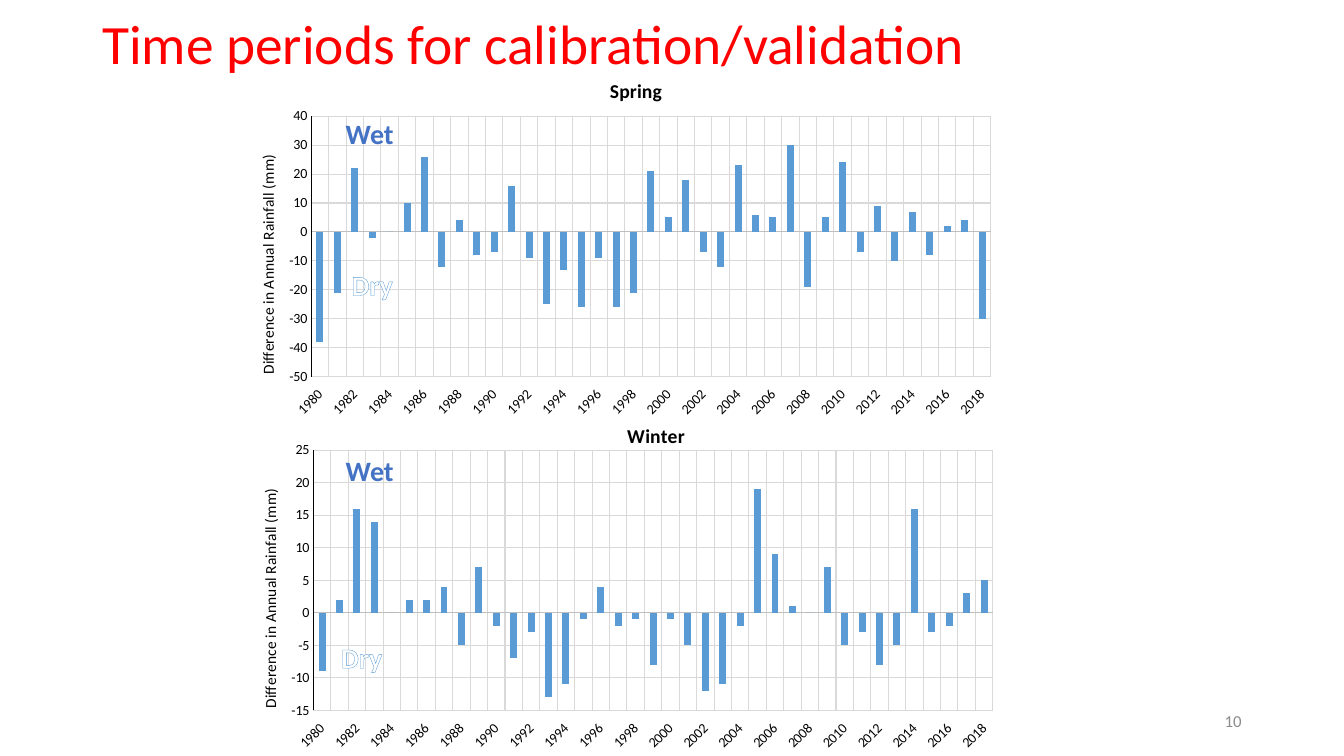
from dataclasses import dataclass

from lxml import etree
from pptx import Presentation
from pptx import util as u
from pptx.chart.data import CategoryChartData
from pptx.dml.color import RGBColor
from pptx.enum import chart as ch
from pptx.enum import text
from pptx.oxml.ns import qn

PX = 9525  # EMU per px, 96 px to the inch
FONT = "Calibri"
RED = RGBColor(0xFF, 0x00, 0x00)
BLACK = RGBColor(0x00, 0x00, 0x00)
WHITE = RGBColor(0xFF, 0xFF, 0xFF)
GRAY = RGBColor(0x8C, 0x8C, 0x8C)
AXIS_GRAY = RGBColor(0xBF, 0xBF, 0xBF)
GRID_GRAY = RGBColor(0xD9, 0xD9, 0xD9)
BAR_BLUE = RGBColor(0x5B, 0x9B, 0xD5)
WET_BLUE = RGBColor(0x44, 0x72, 0xC4)

YEARS = [str(year) for year in range(1980, 2019)]
AXIS_TITLE = "Difference in Annual Rainfall (mm)"


@dataclass
class Label:
    words: str
    box: tuple[int, int, int, int]
    size: float
    color: RGBColor
    align: text.PP_ALIGN = text.PP_ALIGN.CENTER
    anchor: text.MSO_ANCHOR = text.MSO_ANCHOR.TOP
    bold: bool = True
    wrap: bool = True
    spacing: float = 1.0
    outline: RGBColor | None = None


@dataclass
class Season:
    name: str
    left: int
    top: int
    title_at: tuple[float, float]
    scale: tuple[int, int, int]
    values: list[int]


SEASONS = [
    Season("Spring", 228, 60, (0.48, 0.03), (-50, 40, 10), [
        -38, -21, 22, -2, 0, 10, 26, -12, 4, -8, -7, 16, -9, -25, -13, -26, -9, -26, -21, 21,
        5, 18, -7, -12, 23, 6, 5, 30, -19, 5, 24, -7, 9, -10, 7, -8, 2, 4, -30]),
    Season("Winter", 230, 378, (0.5, 0.06), (-15, 25, 5), [
        -9, 2, 16, 14, 0, 2, 2, 4, -5, 7, -2, -7, -3, -13, -11, -1, 4, -2, -1, -8,
        -1, -5, -12, -11, -2, 19, 9, 1, 0, 7, -5, -3, -8, -5, 16, -3, -2, 3, 5]),
]

LABELS = [
    Label("Time periods for calibration/validation", (88, 16, 1104, 57), 39.6, RED,
          text.PP_ALIGN.LEFT, text.MSO_ANCHOR.MIDDLE, bold=False, spacing=0.9),
    Label("10", (904, 667, 288, 38), 12, GRAY,
          text.PP_ALIGN.RIGHT, text.MSO_ANCHOR.MIDDLE, bold=False),
    *(Label("Wet", (279, top, 146, 42), 20, WET_BLUE) for top in (106, 427)),
    *(Label("Dry", (left, top, 59, 42), 20, WHITE, wrap=False, outline=BAR_BLUE)
      for left, top in ((325, 250), (315, 605))),
]


def px(*lengths: int) -> list[u.Emu]:
    return [u.Emu(n * PX) for n in lengths]


def set_font(font, size: float, color: RGBColor, bold: bool = False) -> None:
    for key, value in {"name": FONT, "size": u.Pt(size), "bold": bold}.items():
        setattr(font, key, value)
    font.color.rgb = color


def set_line(line, color: RGBColor) -> None:
    line.color.rgb = color
    line.width = u.Pt(0.75)


def set_layout(parent, index: int, **values) -> None:
    """Place a chart part by fractions of the chart's size."""
    for old in parent.findall(qn("c:layout")):
        parent.remove(old)
    layout = etree.Element(qn("c:layout"))
    manual = etree.SubElement(layout, qn("c:manualLayout"))
    for key, value in values.items():
        etree.SubElement(manual, qn(f"c:{key}")).set("val", str(value))
    parent.insert(index, layout)


def set_title(title, words: str, size: float, bold: bool, at: tuple[float, float]) -> None:
    tf = title.text_frame
    tf.text = words
    set_font(tf.paragraphs[0].runs[0].font, size, BLACK, bold)
    set_layout(title._element, 1, xMode="edge", yMode="edge", x=at[0], y=at[1])


def rotate(body, degrees: int) -> None:
    body.set("rot", str(degrees * 60000))
    body.set("vert", "horz")


def add_label(s, label: Label) -> None:
    tf = s.shapes.add_textbox(*px(*label.box)).text_frame
    tf.word_wrap = label.wrap
    tf.vertical_anchor = label.anchor
    p = tf.paragraphs[0]
    p.alignment = label.align
    p.line_spacing = label.spacing
    r = p.add_run()
    r.text = label.words
    set_font(r.font, label.size, label.color, label.bold)
    if label.outline is not None:
        ln = etree.Element(qn("a:ln"), w=str(u.Pt(0.8)))
        fill = etree.SubElement(ln, qn("a:solidFill"))
        etree.SubElement(fill, qn("a:srgbClr"), val=str(label.outline))
        r.font._element.insert(0, ln)


def add_season_chart(s, season: Season) -> None:
    data = CategoryChartData()
    data.categories = YEARS
    data.add_series(season.name, season.values)
    box = px(season.left, season.top, 728, 338)
    chart = s.shapes.add_chart(ch.XL_CHART_TYPE.COLUMN_CLUSTERED, *box, data).chart
    chart.has_legend = False
    set_font(chart.font, 10, BLACK)
    set_title(chart.chart_title, season.name, 14, True, season.title_at)

    plot = chart.plots[0]
    plot.gap_width = 150
    plot.vary_by_categories = False
    bars = plot.series[0]
    bars.invert_if_negative = False
    bars.format.fill.solid()
    bars.format.fill.fore_color.rgb = BAR_BLUE

    years, rain = chart.category_axis, chart.value_axis
    low, high, step = season.scale
    shared = {"has_major_gridlines": True, "major_tick_mark": ch.XL_TICK_MARK.NONE,
              "minor_tick_mark": ch.XL_TICK_MARK.NONE}
    formats = {
        years: {"tick_label_position": ch.XL_TICK_LABEL_POSITION.LOW},
        rain: {"minimum_scale": low, "maximum_scale": high, "major_unit": step},
    }
    for axis, color in ((years, AXIS_GRAY), (rain, BLACK)):
        for key, value in (shared | formats[axis]).items():
            setattr(axis, key, value)
        set_line(axis.format.line, color)
        set_line(axis.major_gridlines.format.line, GRID_GRAY)
        set_font(axis.tick_labels.font, 10, BLACK)

    rotate(years._element.find(qn("c:txPr")).find(qn("a:bodyPr")), -45)
    skip = etree.Element(qn("c:tickLblSkip"), val="2")
    years._element.find(qn("c:noMultiLvlLbl")).addprevious(skip)
    set_title(rain.axis_title, AXIS_TITLE, 11, False, (0.02, 0.25))
    rotate(rain.axis_title.text_frame._txBody.find(qn("a:bodyPr")), -90)
    set_layout(chart._chartSpace.chart.plotArea, 0, layoutTarget="inner", xMode="edge",
               yMode="edge", x=0.094, y=0.15, w=0.889, h=0.734)


def main() -> None:
    prs = Presentation()
    prs.slide_width, prs.slide_height = px(1280, 720)
    s = prs.slides.add_slide(prs.slide_layouts[6])
    for season in SEASONS:
        add_season_chart(s, season)
    for label in LABELS:
        add_label(s, label)
    prs.save("out.pptx")


if __name__ == "__main__":
    main()
